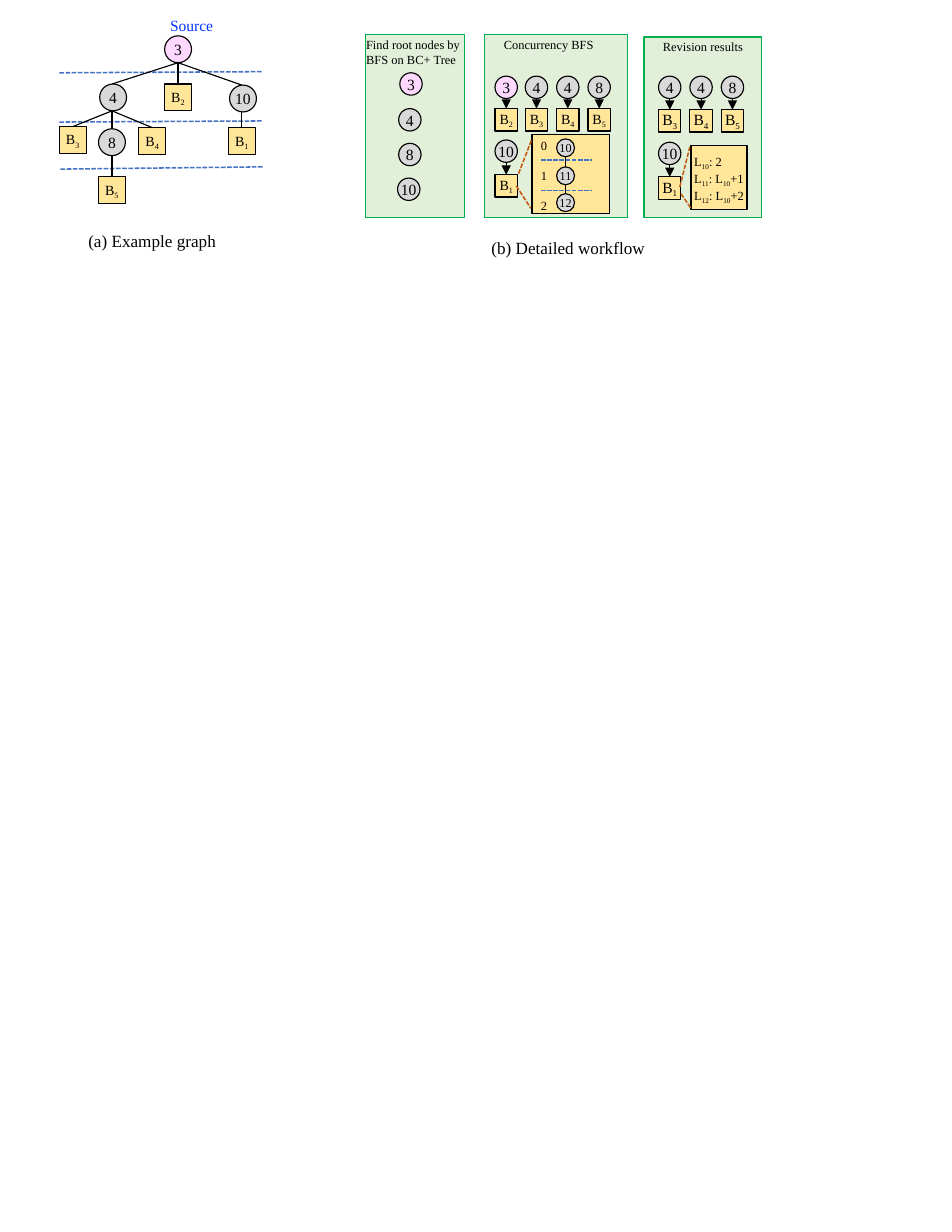
from lxml import etree
from pptx import Presentation
from pptx import util as u
from pptx.dml.color import RGBColor
from pptx.enum import dml, shapes, text
from pptx.oxml.ns import qn

PX = 9144
FONT = "Times New Roman"
COLORS = {
    "black": "000000", "blue": "0432FF", "dash": "4472C4", "zoom": "C55A11",
    "root": "FFD8FF", "node": "D9D9D9", "block": "FFE699",
    "panel": "E2F0D9", "border": "00B050",
}
CENTERED = {
    "margin_left": 0, "margin_right": 0, "word_wrap": True,
    "vertical_anchor": text.MSO_ANCHOR.MIDDLE,
}
LABEL = {"word_wrap": True, "auto_size": text.MSO_AUTO_SIZE.SHAPE_TO_FIT_TEXT}


def px(*values):
    return [u.Emu(v * PX) for v in values]


def rgb(name):
    return RGBColor.from_string(COLORS[name])


def apply(obj, values):
    for name, value in values.items():
        setattr(obj, name, value)


def write(tf, lines, size, color="black", **para):
    for i, line in enumerate(lines):
        p = tf.paragraphs[0] if i == 0 else tf.add_paragraph()
        apply(p, {k: v for k, v in para.items() if i or k != "space_before"})
        for n, part in enumerate(line.split("|")):
            if part:
                r = p.add_run()
                r.text = part
                apply(r.font, {"size": u.Pt(size), "name": FONT})
                r.font.color.rgb = rgb(color)
                if n % 2:
                    r._r.get_or_add_rPr().set("baseline", "-25000")


def add_shape(s, kind, x, y, w, h, fill, line="black"):
    sp = s.shapes.add_shape(kind, *px(x, y, w, h))
    sp.shadow.inherit = False
    sp.fill.solid()
    sp.fill.fore_color.rgb = rgb(fill)
    sp.line.color.rgb = rgb(line)
    sp.line.width = u.Pt(0.75)
    return sp


def add_box(s, x, y, w, h, fill="block", line="black"):
    return add_shape(s, shapes.MSO_SHAPE.RECTANGLE, x, y, w, h, fill, line)


def add_node(s, x, y, label, d=20, size=10):
    fill = "root" if label == "3" else "node"
    sp = add_shape(s, shapes.MSO_SHAPE.OVAL, x, y, d, d, fill)
    apply(sp.text_frame, {**CENTERED, "margin_top": 0, "margin_bottom": 0})
    write(sp.text_frame, [label], size, alignment=text.PP_ALIGN.CENTER)


def add_block(s, x, y, label, size):
    sp = add_box(s, x, y, 20, 20)
    apply(sp.text_frame, CENTERED)
    write(sp.text_frame, [label], size, alignment=text.PP_ALIGN.CENTER)


def add_label(s, x, y, w, h, lines, size, color="black", **para):
    tf = s.shapes.add_textbox(*px(x, y, w, h)).text_frame
    apply(tf, LABEL)
    write(tf, lines, size, color, **para)


def add_line(s, x1, y1, x2, y2, color="black", arrow=False):
    c = s.shapes.add_connector(shapes.MSO_CONNECTOR.STRAIGHT, *px(x1, y1, x2, y2))
    c.line.color.rgb = rgb(color)
    c.line.width = u.Pt(0.75 if color == "black" else 1)
    if color != "black":
        c.line.dash_style = dml.MSO_LINE.SQUARE_DOT
    if arrow:
        tail = etree.SubElement(c.line._get_or_add_ln(), qn("a:tailEnd"))
        tail.set("type", "triangle")
    etree.SubElement(c._element.spPr, qn("a:effectLst"))


def add_pair(s, x, node_y, block_y, node, block, size):
    add_node(s, x, node_y, node)
    add_block(s, x, block_y, block, size)
    add_line(s, x + 10, node_y + 20, x + 10, block_y, arrow=True)


def draw_tree(s):
    for x, y1, y2 in [(53, 65, 64), (53, 109, 108), (54, 151, 149)]:
        add_line(s, x, y1, x + 181, y2, "dash")
    edges = [(159, 56, 216, 76), (159, 56, 159, 75), (159, 56, 100, 75),
             (216, 100, 216, 114), (100, 99, 100, 115), (100, 99, 136, 114),
             (100, 99, 65, 113), (100, 139, 100, 158)]
    for edge in edges:
        add_line(s, *edge)
    for x, y, label in [(147, 32, "3"), (205, 76, "10"), (89, 75, "4"), (88, 115, "8")]:
        add_node(s, x, y, label, 24)
    blocks = [(204, 114, "B|1"), (147, 75, "B|2"), (53, 113, "B|3"),
              (124, 114, "B|4"), (88, 158, "B|5")]
    for x, y, label in blocks:
        add_box(s, x, y, 24, 24)
        add_label(s, x - 4, y - 1, 38, 57, [label], 9)
    add_label(s, 142, 9, 68, 27, ["Source"], 10, "blue")
    add_label(s, 69, 201, 193, 29, ["(a) Example graph"], 11)


def draw_roots(s):
    add_box(s, 326, 31, 89, 163, "panel", "border")
    add_label(s, 317, 28, 105, 37, ["Find root nodes by BFS on BC+ Tree"], 8)
    for x, y, label in [(357, 65, "3"), (356, 97, "4"), (356, 128, "8"), (355, 159, "10")]:
        add_node(s, x, y, label)


def draw_search(s):
    add_box(s, 433, 31, 127, 163, "panel", "border")
    add_label(s, 440, 28, 105, 24, ["Concurrency BFS"], 8)
    pairs = zip((442, 469, 497, 525), "3448", ("B|2", "B|3", "B|4", "B|5"))
    for x, node, block in pairs:
        add_pair(s, x, 68, 97, node, block, 9)
    add_pair(s, 442, 125, 156, "10", "B|1", 9)
    add_box(s, 475, 120, 69, 71)
    add_line(s, 463, 155, 475, 124, "zoom")
    add_line(s, 461, 166, 474, 186, "zoom")
    for y, label in [(124, "10"), (149, "11"), (173, "12")]:
        add_node(s, 497, y, label, 16, 7.8)
    for y1, y2 in [(139, 149), (165, 173)]:
        add_line(s, 505, y1, 505, y2)
    for y in (143, 170):
        add_line(s, 483, y, 529, y, "dash")
    add_label(s, 473, 118, 25, 77, ["0", "1", "2"], 8, space_before=u.Pt(10))


def draw_revision(s):
    add_box(s, 575, 33, 105, 161, "panel", "border")
    add_label(s, 582, 30, 105, 24, ["Revision results"], 8)
    for i, (node, block) in enumerate(zip("448", ("B|3", "B|4", "B|5"))):
        add_pair(s, 588 + 28 * i, 68, 98, node, block, 10)
    add_pair(s, 588, 127, 158, "10", "B|1", 10)
    add_box(s, 617, 130, 50, 57)
    add_line(s, 607, 167, 616, 131, "zoom")
    add_line(s, 608, 173, 617, 186, "zoom")
    levels = ["L|10|: 2", "L|11|: L|10|+1", "L|12|: L|10|+2"]
    add_label(s, 610, 133, 67, 50, levels, 8)


def main():
    prs = Presentation()
    apply(prs, {"slide_width": u.Inches(8.5), "slide_height": u.Inches(11)})
    s = prs.slides.add_slide(prs.slide_layouts[6])
    draw_tree(s)
    draw_roots(s)
    draw_search(s)
    draw_revision(s)
    add_label(s, 429, 207, 193, 29, ["(b) Detailed workflow"], 11)
    prs.save("out.pptx")


if __name__ == "__main__":
    main()
